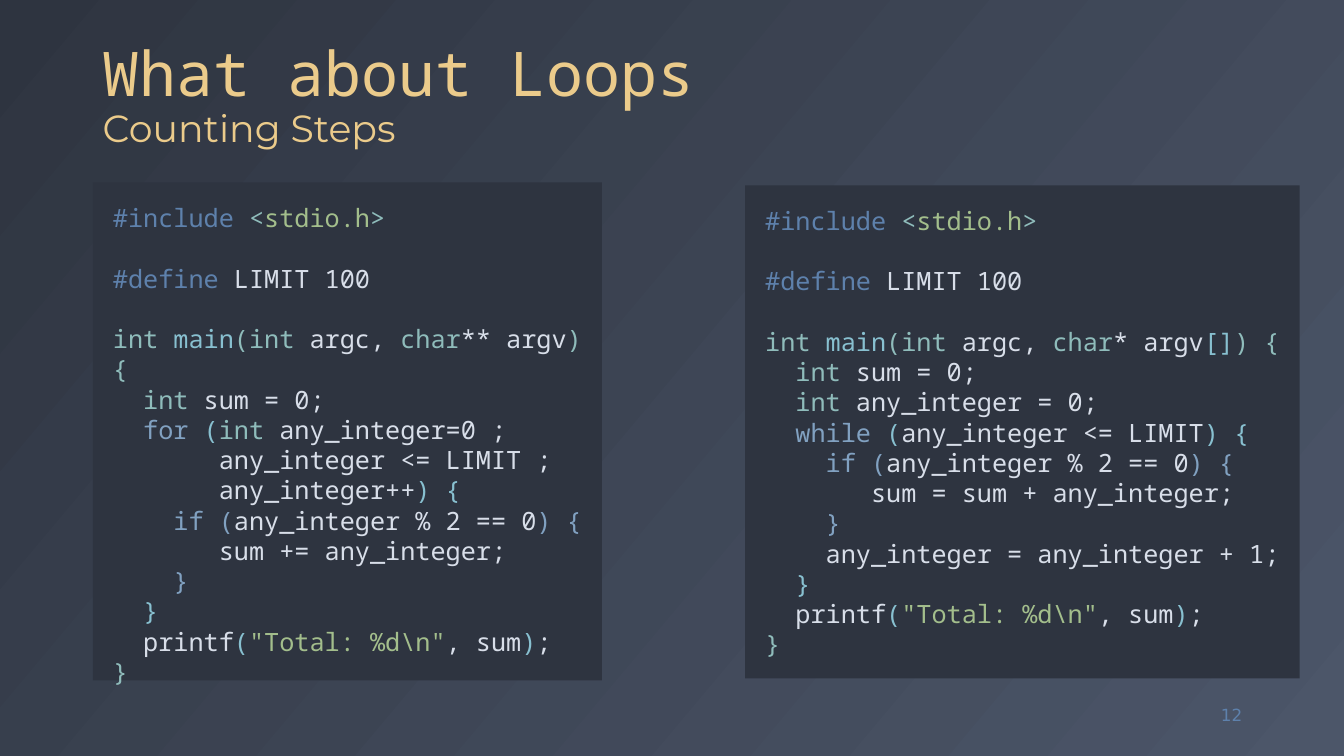
from dataclasses import dataclass

from pptx import Presentation
from pptx.dml.color import RGBColor
from pptx.enum.shapes import MSO_SHAPE as Shape
from pptx.enum.text import MSO_ANCHOR as Anchor, PP_ALIGN as Align
from pptx.util import Inches, Pt

MONO, SANS, NUMBER_FONT = "Noto Sans Mono", "Montserrat", "DejaVu Sans"
NIGHT, SLATE, GOLD = "2E3440", "4C5669", "EBCB8B"
PLAIN, DIRECTIVE, KEYWORD = "D8DEE9", "5E81AC", "81A1C1"
TYPE, CALL, STRING = "8FBCBB", "88C0D0", "A3BE8C"
CODE_SIZE = 18
BLANK_LINE = 21.6  # points


@dataclass
class Span:
    text: str
    color: str = PLAIN


@dataclass
class Line:
    spans: list[Span]
    indent: int = 0
    blank_before: bool = False


@dataclass
class Panel:
    left: float
    top: float
    width: float
    height: float
    anchor: Anchor
    lines: list[Line]


def rgb(value: str) -> RGBColor:
    return RGBColor.from_string(value)


def add_span(para, text: str, *, size: float, font: str, color: str) -> None:
    span = para.add_run()
    span.text = text
    span.font.size = Pt(size)
    span.font.name = font
    span.font.color.rgb = rgb(color)


def add_label(page, left: float, top: float, width: float, height: float,
              *, anchor: Anchor, align: Align = Align.LEFT):
    frame = page.shapes.add_textbox(
        Inches(left), Inches(top), Inches(width), Inches(height)).text_frame
    frame.word_wrap = True
    frame.vertical_anchor = anchor
    para = frame.paragraphs[0]
    para.alignment = align
    return para


def add_panel(page, panel: Panel) -> None:
    box = page.shapes.add_shape(
        Shape.RECTANGLE, Inches(panel.left), Inches(panel.top),
        Inches(panel.width), Inches(panel.height))
    box.shadow.inherit = False
    box.fill.solid()
    box.fill.fore_color.rgb = rgb(NIGHT)
    box.line.fill.background()
    frame = box.text_frame
    frame.word_wrap = False
    frame.vertical_anchor = panel.anchor
    frame.margin_left = frame.margin_right = Inches(0.2)
    frame.margin_top = frame.margin_bottom = Inches(0.2)
    for index, line in enumerate(panel.lines):
        para = frame.add_paragraph() if index else frame.paragraphs[0]
        para.alignment = Align.LEFT
        if line.blank_before:
            para.space_before = Pt(BLANK_LINE)
        for position, span in enumerate(line.spans):
            lead = "" if position else " " * line.indent
            add_span(para, lead + span.text, size=CODE_SIZE, font=MONO,
                     color=span.color)


# Code lines found in both programs
HEADER = [
    Line([Span("#include ", DIRECTIVE), Span("<", TYPE),
          Span("stdio.h", STRING), Span(">", TYPE)]),
    Line([Span("#define ", DIRECTIVE), Span("LIMIT 100")], blank_before=True),
]
MAIN_START = [Span("int ", TYPE), Span("main", CALL), Span("(int ", TYPE),
              Span("argc, "), Span("char", TYPE)]
SUM_START = Line([Span("int ", TYPE), Span("sum = 0;")], 2)
IF_EVEN = [Span("if (", KEYWORD), Span("any_integer % 2 == 0"),
           Span(") {", KEYWORD)]
IF_END = Line([Span("}", KEYWORD)], 4)
FOOTER = [
    Line([Span("}", CALL)], 2),
    Line([Span("printf"), Span("(", CALL), Span('"Total: %d\\n"', STRING),
          Span(", sum"), Span(")", CALL), Span(";")], 2),
    Line([Span("}", TYPE)]),
]

FOR_PROGRAM = [
    *HEADER,
    Line([*MAIN_START, Span("** argv"), Span(")", TYPE)], blank_before=True),
    Line([Span("{", TYPE)]),
    SUM_START,
    Line([Span("for ", KEYWORD), Span("(", CALL), Span("int ", TYPE),
          Span("any_integer=0 ;")], 2),
    Line([Span("any_integer <= LIMIT ;")], 7),
    Line([Span("any_integer++"), Span(") {", CALL)], 7),
    Line(IF_EVEN, 4),
    Line([Span("sum += any_integer;")], 7),
    IF_END,
    *FOOTER,
]

WHILE_PROGRAM = [
    *HEADER,
    Line([*MAIN_START, Span("* argv"), Span("[]", CALL), Span(") {", TYPE)],
         blank_before=True),
    SUM_START,
    Line([Span("int ", TYPE), Span("any_integer = 0;")], 2),
    Line([Span("while ", KEYWORD), Span("(", CALL),
          Span("any_integer <= LIMIT"), Span(") {", CALL)], 2),
    Line(IF_EVEN, 4),
    Line([Span("sum = sum + any_integer;")], 7),
    IF_END,
    Line([Span("any_integer = any_integer + 1;")], 4),
    *FOOTER,
]

PANELS = [
    Panel(7.39, 1.84, 5.5, 4.89, Anchor.MIDDLE, WHILE_PROGRAM),
    Panel(0.92, 1.81, 5.05, 4.94, Anchor.TOP, FOR_PROGRAM),
]


def main() -> None:
    deck = Presentation()
    deck.slide_width, deck.slide_height = Inches(13.33), Inches(7.5)
    page = deck.slides.add_slide(deck.slide_layouts[6])

    # Background
    backdrop = page.background.fill
    backdrop.gradient()
    backdrop.gradient_angle = 320
    for stop, position, color in zip(backdrop.gradient_stops, (0, 1),
                                     (NIGHT, SLATE)):
        stop.position = position
        stop.color.rgb = rgb(color)

    # Title and subtitle
    title = add_label(page, 0.92, 0.18, 11.5, 1.36, anchor=Anchor.BOTTOM)
    title.line_spacing = 0.9
    add_span(title, "What about Loops", size=44, font=MONO, color=GOLD)
    title.add_line_break()
    add_span(title, "Counting Steps", size=27, font=SANS, color=GOLD)

    # Code panels
    for panel in PANELS:
        add_panel(page, panel)

    # Page number
    number = add_label(page, 11.59, 6.89, 0.83, 0.4, anchor=Anchor.MIDDLE,
                       align=Align.RIGHT)
    add_span(number, "12", size=12, font=NUMBER_FONT, color=DIRECTIVE)

    deck.save("out.pptx")


if __name__ == "__main__":
    main()
